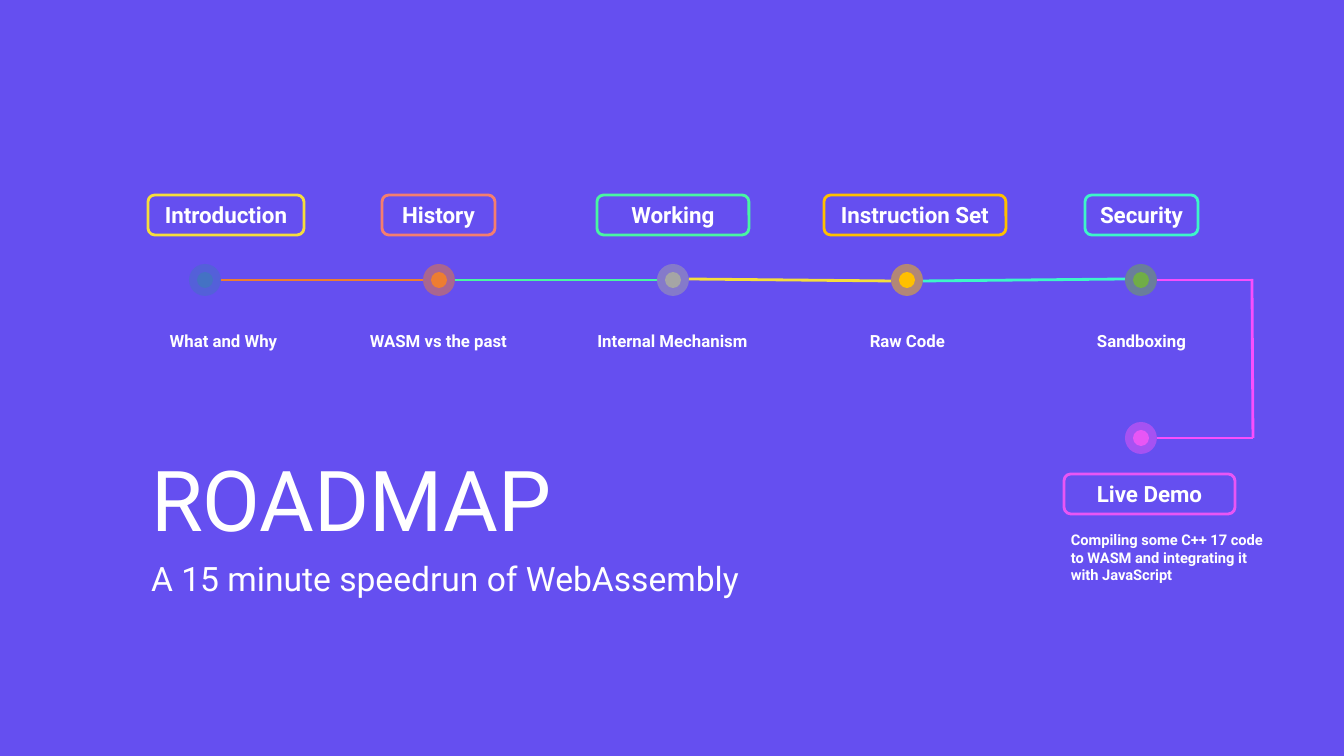
"""Build a roadmap slide: six coloured milestones joined by a route."""
from dataclasses import dataclass

from lxml import etree
from pptx import Presentation
from pptx import util as u
from pptx.dml.color import RGBColor
from pptx.enum import shapes, text
from pptx.oxml import ns

TITLE = "ROADMAP"
SUBTITLE = "A 15 minute speedrun of WebAssembly"

# label, badge (left, width), badge colour, dot colour, caption, caption (left, width)
STOPS = [
    ("Introduction", (148, 156), "F5DD3D", "4472C4", "What and Why", (133, 181)),
    ("History", (382, 113), "F57E6E", "ED7D31", "WASM vs the past", (329, 219)),
    ("Working", (597, 152), "49F5A2", "A5A5A5", "Internal Mechanism", (563, 219)),
    ("Instruction Set", (824, 182), "FFC000", "FFC000", "Raw Code", (798, 219)),
    ("Security", (1085, 113), "3DF5C9", "70AD47", "Sandboxing", (1032, 219)),
]
DEMO = ("Live Demo", (1064, 171), "E856F5", "E856F5",
        "Compiling some C++ 17 code to WASM and integrating it with JavaScript",
        (1061, 219))

# colour, y at the start, y at the end
LINKS = [("ED7D31", 280, 280), ("49F5A2", 280, 280),
         ("F5DD3D", 279, 281), ("3DF5C9", 281, 279)]


@dataclass(frozen=True)
class Theme:
    font: str = "Roboto"
    background: str = "654FF0"
    ink: str = "FFFFFF"
    route: str = "F84EFC"
    title: float = 60
    subtitle: float = 24
    badge: float = 16
    caption: float = 12
    detail: float = 10.5
    line: float = 2


THEME = Theme()
SCALE = 914400 / 100.8
FIRST_X, STEP, TRACK_Y, DEMO_Y = 205, 234, 280, 438
TURN_X = 1253
DOT, CORE = 32, 16
BADGE_Y, BADGE_HEIGHT, DEMO_BADGE_Y = 195, 40, 474
CAPTION_Y, CAPTION_HEIGHT, DETAIL_Y, DETAIL_HEIGHT = 326, 30, 526, 63


def px(*lengths):
    return [u.Emu(round(length * SCALE)) for length in lengths]


def write(shape, words, size, bold=True, align=text.PP_ALIGN.LEFT,
          anchor=text.MSO_ANCHOR.TOP):
    frame = shape.text_frame
    frame.text = words
    frame.word_wrap = True
    frame.auto_size = text.MSO_AUTO_SIZE.NONE
    frame.vertical_anchor = anchor
    para = frame.paragraphs[0]
    para.alignment = align
    para.space_before = u.Pt(0)
    font = para.runs[0].font
    font.name, font.size, font.bold = THEME.font, u.Pt(size), bold
    font.color.rgb = RGBColor.from_string(THEME.ink)
    return para


def add_line(slide, colour, x1, y1, x2, y2):
    line = slide.shapes.add_connector(shapes.MSO_CONNECTOR.STRAIGHT, *px(x1, y1, x2, y2))
    line.line.color.rgb = RGBColor.from_string(colour)
    line.line.width = u.Pt(THEME.line)
    etree.SubElement(line._element.spPr, ns.qn("a:effectLst"))


def add_dot(slide, colour, x, y):
    group = slide.shapes.add_group_shape()
    for size, opacity in ((DOT, 50), (CORE, 100)):
        disc = group.shapes.add_shape(
            shapes.MSO_SHAPE.OVAL, *px(x - size / 2, y - size / 2, size, size))
        disc.shadow.inherit = False
        disc.line.fill.background()
        disc.fill.solid()
        disc.fill.fore_color.rgb = RGBColor.from_string(colour)
        if opacity < 100:
            tint = disc._element.spPr.find(".//" + ns.qn("a:srgbClr"))
            etree.SubElement(tint, ns.qn("a:alpha"), val=str(opacity * 1000))


def add_badge(slide, label, span, colour, top):
    left, width = span
    badge = slide.shapes.add_shape(
        shapes.MSO_SHAPE.ROUNDED_RECTANGLE, *px(left, top, width, BADGE_HEIGHT))
    badge.shadow.inherit = False
    badge.fill.background()
    badge.line.color.rgb = RGBColor.from_string(colour)
    badge.line.width = u.Pt(THEME.line)
    write(badge, label, THEME.badge, align=text.PP_ALIGN.CENTER,
          anchor=text.MSO_ANCHOR.MIDDLE)


def add_caption(slide, words, span, top, height, size, align):
    left, width = span
    box = slide.shapes.add_textbox(*px(left, top, width, height))
    write(box, words, size, align=align)


def add_headings(slide):
    title, body = slide.shapes.title, slide.placeholders[1]
    title.left, title.top, title.width, title.height = px(141, 452, 516, 103)
    body.left, body.top, body.width, body.height = px(141, 557, 657, 64)
    heading = write(title, TITLE, THEME.title, False, anchor=text.MSO_ANCHOR.BOTTOM)
    subtitle = write(body, SUBTITLE, THEME.subtitle, False)
    heading.line_spacing = subtitle.line_spacing = 0.9
    properties = subtitle._p.get_or_add_pPr()
    properties.set("marL", "0")
    properties.set("indent", "0")
    etree.SubElement(properties, ns.qn("a:buNone"))


def main():
    deck = Presentation()
    deck.slide_width, deck.slide_height = px(1344, 756)
    slide = deck.slides.add_slide(deck.slide_layouts[1])
    slide.background.fill.solid()
    slide.background.fill.fore_color.rgb = RGBColor.from_string(THEME.background)
    add_headings(slide)

    centres = [FIRST_X + STEP * index for index in range(len(STOPS))]
    for (colour, y1, y2), start, end in zip(LINKS, centres, centres[1:]):
        add_line(slide, colour, start + DOT / 2, y1, end - DOT / 2, y2)
    last = centres[-1]
    edge = last + DOT / 2
    add_line(slide, THEME.route, edge, TRACK_Y, TURN_X, TRACK_Y)
    add_line(slide, THEME.route, TURN_X - 1, TRACK_Y - 1, TURN_X, DEMO_Y)
    add_line(slide, THEME.route, edge, DEMO_Y, TURN_X, DEMO_Y)

    for x, (label, badge, outline, dot, caption, span) in zip(centres, STOPS):
        add_dot(slide, dot, x, TRACK_Y)
        add_badge(slide, label, badge, outline, BADGE_Y)
        add_caption(slide, caption, span, CAPTION_Y, CAPTION_HEIGHT,
                    THEME.caption, text.PP_ALIGN.CENTER)

    label, badge, outline, dot, detail, span = DEMO
    add_dot(slide, dot, last, DEMO_Y)
    add_badge(slide, label, badge, outline, DEMO_BADGE_Y)
    add_caption(slide, detail, span, DETAIL_Y, DETAIL_HEIGHT,
                THEME.detail, text.PP_ALIGN.LEFT)
    deck.save("out.pptx")


if __name__ == "__main__":
    main()
